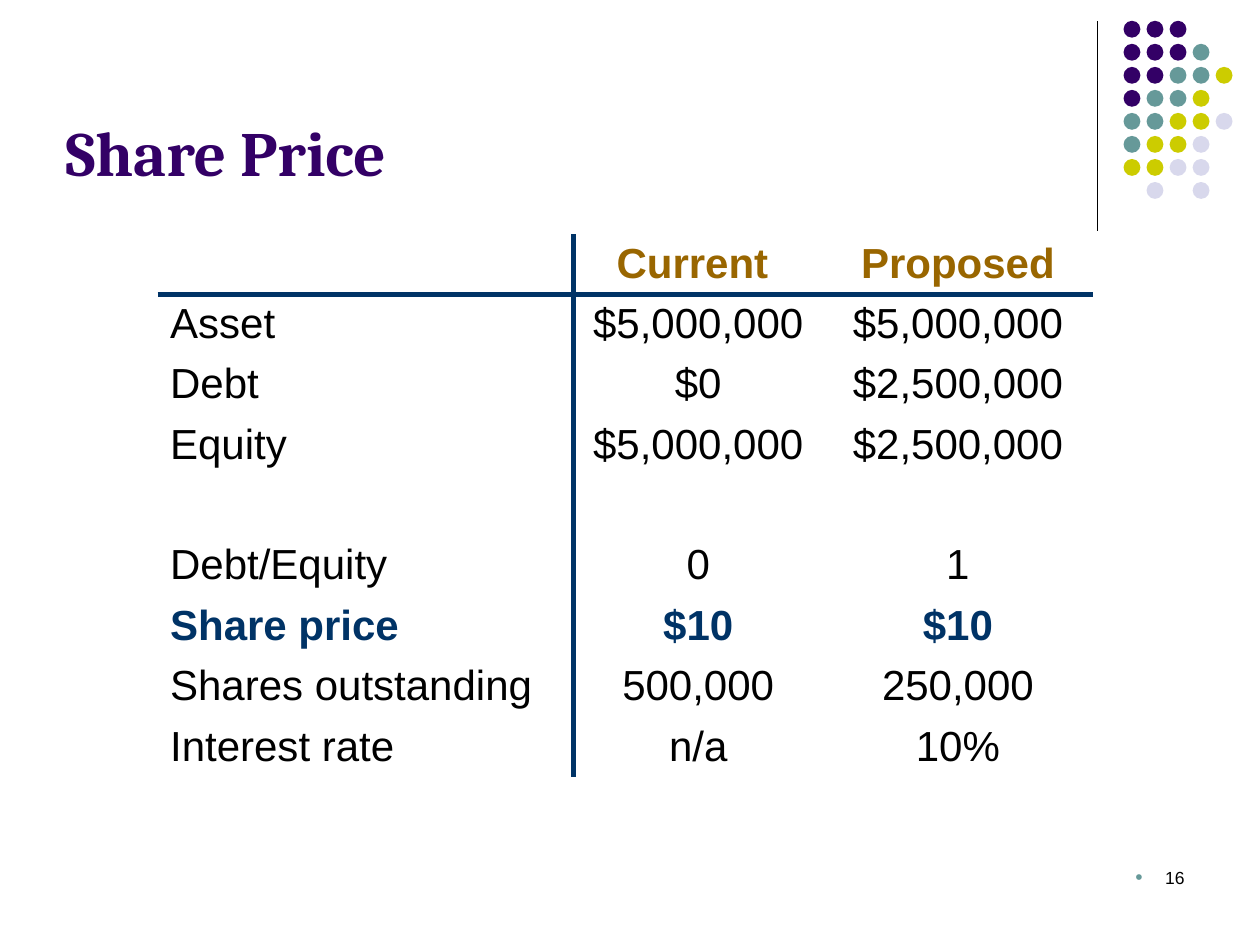
"""Build the Share Price slide with its comparison table."""
from dataclasses import dataclass

from lxml import etree
from pptx import Presentation
from pptx import util as u
from pptx.dml.color import RGBColor
from pptx.enum import shapes, text
from pptx.oxml.ns import qn

PURPLE, TEAL, LIME, LILAC = "330066", "669999", "CCCC00", "D8D8EC"
NAVY, BROWN, BLACK = "003366", "996600", "000000"
DOT_COLORS = {"P": PURPLE, "T": TEAL, "L": LIME, "V": LILAC}
DOT_ROWS = ["PPP", "PPPT", "PPTTL", "PTTL", "TTLLV", "TLLV", "LLVV", " V V"]


@dataclass
class Row:
    label: str
    current: str
    proposed: str
    color: str = BLACK
    bold: bool = False


ROWS = [
    Row("", "Current ", "Proposed", BROWN, True),
    Row("Asset", "$5,000,000", "$5,000,000"),
    Row("Debt", "$0", "$2,500,000"),
    Row("Equity", "$5,000,000", "$2,500,000"),
    Row("", "", ""),
    Row("Debt/Equity", "0", "1"),
    Row("Share price", "$10", "$10", NAVY, True),
    Row("Shares outstanding", "500,000", "250,000"),
    Row("Interest rate", "n/a", "10%"),
]


def rgb(value: str) -> RGBColor:
    return RGBColor.from_string(value)


def style(p, name: str, size: float, color: str, bold: bool = False) -> None:
    p.font.name = name
    p.font.size = u.Pt(size)
    p.font.bold = bold
    p.font.color.rgb = rgb(color)


def add_divider(s) -> None:
    line = s.shapes.add_connector(
        shapes.MSO_CONNECTOR.STRAIGHT, u.Cm(22.12), u.Cm(0.43), u.Cm(22.12), u.Cm(4.65))
    line.line.color.rgb = rgb(BLACK)
    line.line.width = u.Pt(0.75)
    etree.SubElement(line._element.spPr, qn("a:effectLst"))


def add_dots(s) -> None:
    pitch, size = 3.25 / 7, u.Cm(0.34)
    group = s.shapes.add_group_shape()
    for i, row in enumerate(DOT_ROWS):
        for j, key in enumerate(row):
            if key in DOT_COLORS:
                dot = group.shapes.add_shape(
                    shapes.MSO_SHAPE.OVAL, u.Cm(22.65 + j * pitch),
                    u.Cm(0.42 + i * pitch), size, size)
                dot.shadow.inherit = False
                dot.fill.solid()
                dot.fill.fore_color.rgb = rgb(DOT_COLORS[key])
                dot.line.fill.background()


def add_title(s) -> None:
    title = s.shapes.title
    title.left, title.top = u.Cm(1.07), u.Cm(0.76)
    title.width, title.height = u.Cm(23.29), u.Cm(3.18)
    tf = title.text_frame
    tf.text = "Share Price"
    tf.vertical_anchor = text.MSO_ANCHOR.BOTTOM
    p = tf.paragraphs[0]
    p.alignment = text.PP_ALIGN.LEFT
    style(p, "Cambria", 36, PURPLE, True)


def set_borders(cell, sides: str) -> None:
    tcPr = cell._tc.get_or_add_tcPr()
    for side in "LRTB":
        ln = etree.SubElement(tcPr, qn(f"a:ln{side}"))
        if side in sides:
            ln.set("w", str(u.Pt(3)))
            fill = etree.SubElement(ln, qn("a:solidFill"))
            etree.SubElement(fill, qn("a:srgbClr"), val=NAVY)
        else:
            etree.SubElement(ln, qn("a:noFill"))


def fill_cell(cell, value: str, row: Row, i: int, j: int) -> None:
    set_borders(cell, ("R", "L", "")[j] + {0: "B", 1: "T"}.get(i, ""))
    cell.fill.background()
    cell.margin_left = cell.margin_right = u.Cm(0.25)
    cell.margin_top, cell.margin_bottom = u.Cm(0.12), u.Cm(0.08)
    cell.text = value
    p = cell.text_frame.paragraphs[0]
    p.alignment = text.PP_ALIGN.CENTER if j else text.PP_ALIGN.LEFT
    style(p, "Arial", 24, row.color, row.bold)


def add_price_table(s) -> None:
    widths, height = (8.38, 5.03, 5.44), 10.76
    table = s.shapes.add_table(
        len(ROWS), len(widths), u.Cm(3.18), u.Cm(4.72),
        u.Cm(sum(widths)), u.Cm(height)).table
    table.first_row = table.horz_banding = False
    for column, width in zip(table.columns, widths):
        column.width = u.Cm(width)
    for i, row in enumerate(ROWS):
        table.rows[i].height = u.Cm(height / len(ROWS))
        for j, value in enumerate((row.label, row.current, row.proposed)):
            fill_cell(table.cell(i, j), value, row, i, j)


def add_page_number(s) -> None:
    sp = s.shapes.add_textbox(u.Cm(18.21), u.Cm(17.35), u.Cm(5.92), u.Cm(1.27))
    tf = sp.text_frame
    tf.word_wrap = True
    p = tf.paragraphs[0]
    p.text = "16"
    p.alignment = text.PP_ALIGN.RIGHT
    style(p, "Arial", 10, BLACK)
    pPr = p._p.get_or_add_pPr()
    pPr.set("marL", str(u.Cm(0.6)))
    pPr.set("indent", str(-u.Cm(0.6)))
    color = etree.Element(qn("a:buClr"))
    etree.SubElement(color, qn("a:srgbClr"), val=TEAL)
    bullet = [color]
    for tag, key, value in (("buSzPct", "val", "120000"),
                            ("buFont", "typeface", "Arial"), ("buChar", "char", "•")):
        bullet.append(etree.Element(qn(f"a:{tag}"), {key: value}))
    for k, element in enumerate(bullet):
        pPr.insert(k, element)


def main() -> None:
    prs = Presentation()
    prs.slide_width, prs.slide_height = u.Cm(25.4), u.Cm(19.05)
    s = prs.slides.add_slide(prs.slide_layouts[5])
    add_divider(s)
    add_dots(s)
    add_title(s)
    add_page_number(s)
    add_price_table(s)
    prs.save("out.pptx")


if __name__ == "__main__":
    main()
